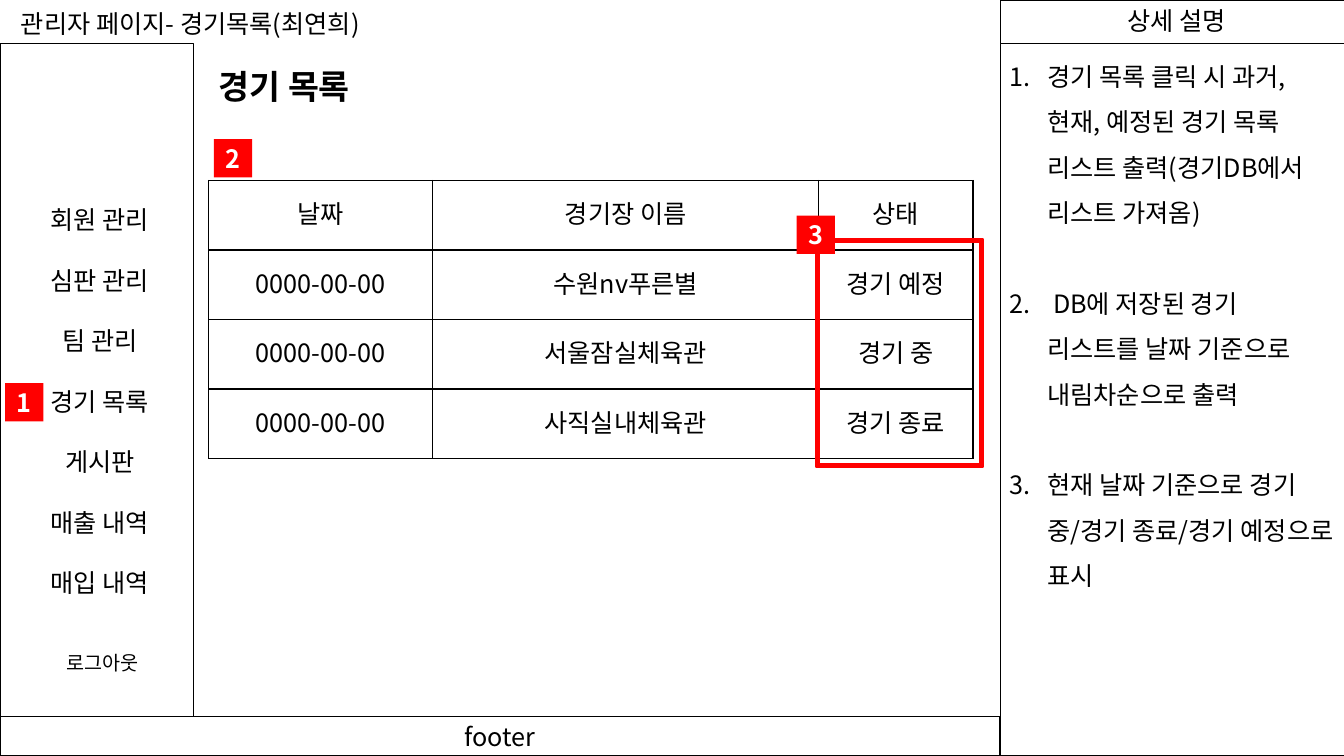
"""Build the admin page wireframe for the match list."""
from dataclasses import dataclass

from lxml import etree
from pptx import Presentation
from pptx.dml.color import RGBColor
from pptx.enum.shapes import MSO_SHAPE
from pptx.enum.text import MSO_ANCHOR, PP_ALIGN
from pptx.oxml.ns import qn
from pptx.util import Inches, Pt

RECTANGLE, FRAME = MSO_SHAPE.RECTANGLE, MSO_SHAPE.FRAME
LEFT, CENTER = PP_ALIGN.LEFT, PP_ALIGN.CENTER
TOP, MIDDLE = MSO_ANCHOR.TOP, MSO_ANCHOR.MIDDLE
FONT = "Noto Sans CJK KR"
COLORS = {"black": "000000", "white": "FFFFFF", "red": "FF0000"}
LINE_PITCH = 21.6
WIDE_PITCH = 1.5 * LINE_PITCH
BADGE_SIZE = 0.38
INDENT = 0.38


@dataclass(frozen=True)
class Box:
    left: float
    top: float
    width: float
    height: float

    def lengths(self) -> list:
        return [Inches(n) for n in (self.left, self.top, self.width, self.height)]


@dataclass(frozen=True)
class Label:
    box: Box
    text: str
    size: float = 18
    bold: bool = False


@dataclass(frozen=True)
class Badge:
    left: float
    top: float
    number: str


DETAIL_PANEL = Box(9.92, 0.43, 3.42, 7.07)
DETAIL_HEADER = Box(9.92, 0, 3.42, 0.43)
SIDEBAR = Box(0, 0.43, 1.92, 6.68)
FOOTER = Box(0, 7.11, 9.92, 0.39)
STATUS_FRAME = Box(8.09, 2.37, 1.66, 2.26)
MENU = Box(0.03, 1.98, 1.92, 4.34)
DETAILS = Box(9.91, 0.41, 3.43, 5.5)
MATCH_TABLE = Box(2.07, 1.79, 7.58, 2.76)

LABELS = [
    Label(Box(11.08, 0, 1.3, 0.4), "상세 설명"),
    Label(Box(0.11, 0.03, 4.3, 0.4), "관리자 페이지- 경기목록(최연희)"),
    Label(Box(0.56, 6.41, 1.31, 0.34), "로그아웃", size=14),
    Label(Box(2.07, 0.6, 2.94, 0.5), "경기 목록", size=24, bold=True),
]
BADGES = [Badge(0.05, 3.8, "1"), Badge(2.12, 1.38, "2"), Badge(7.9, 2.14, "3")]
MENU_ITEMS = ["회원 관리", "심판 관리", "팀 관리", "경기 목록", "게시판", "매출 내역", "매입 내역"]
DETAIL_ITEMS = [
    "경기 목록 클릭 시 과거, 현재, 예정된 경기 목록 리스트 출력(경기DB에서 리스트 가져옴)",
    " DB에 저장된 경기 리스트를 날짜 기준으로 내림차순으로 출력",
    "현재 날짜 기준으로 경기중/경기 종료/경기 예정으로 표시",
]
COLUMN_WIDTHS = [2.22, 3.83, 1.53]
MATCHES = [
    ["날짜", "경기장 이름", "상태"],
    ["0000-00-00", "수원nv푸른별", "경기 예정"],
    ["0000-00-00", "서울잠실체육관", "경기 중"],
    ["0000-00-00", "사직실내체육관", "경기 종료"],
]


def color(name: str) -> RGBColor:
    return RGBColor.from_string(COLORS[name])


def write(frame, *texts: str, size: float = 18, bold: bool = False,
          ink: str = "black", align=LEFT, anchor=TOP, pitch: float | None = None,
          gap: float = 0, numbered: bool = False) -> None:
    frame.word_wrap = True
    frame.vertical_anchor = anchor
    for index, text in enumerate(texts):
        paragraph = frame.add_paragraph() if index else frame.paragraphs[0]
        paragraph.alignment = align
        if pitch:
            paragraph.line_spacing = Pt(pitch)
        if index:
            paragraph.space_before = Pt(gap)
        if numbered:
            properties = paragraph._p.get_or_add_pPr()
            properties.set("marL", str(Inches(INDENT)))
            properties.set("indent", str(-Inches(INDENT)))
            etree.SubElement(properties, qn("a:buFont"), typeface="+mj-lt")
            etree.SubElement(properties, qn("a:buAutoNum"), type="arabicPeriod",
                             startAt=str(index + 1))
        run = paragraph.add_run()
        run.text = text
        run.font.name = FONT
        run.font.size = Pt(size)
        run.font.bold = bold
        run.font.color.rgb = color(ink)
        etree.SubElement(run._r.get_or_add_rPr(), qn("a:ea"), typeface=FONT)


def add_panel(slide, box: Box, fill: str = "white", line: str | None = "black",
              weight: float = 1, preset=RECTANGLE):
    shape = slide.shapes.add_shape(preset, *box.lengths())
    shape.shadow.inherit = False
    shape.fill.solid()
    shape.fill.fore_color.rgb = color(fill)
    if line:
        shape.line.color.rgb = color(line)
        shape.line.width = Pt(weight)
    else:
        shape.line.fill.background()
    return shape


def add_text(slide, box: Box, *texts: str, **style) -> None:
    write(slide.shapes.add_textbox(*box.lengths()).text_frame, *texts, **style)


def add_badge(slide, badge: Badge) -> None:
    box = Box(badge.left, badge.top, BADGE_SIZE, BADGE_SIZE)
    shape = add_panel(slide, box, fill="red", line=None)
    write(shape.text_frame, badge.number, bold=True, ink="white",
          align=CENTER, anchor=MIDDLE)


def add_borders(cell) -> None:
    properties = cell._tc.get_or_add_tcPr()
    for position, side in enumerate(("lnL", "lnR", "lnT", "lnB")):
        border = etree.Element(qn(f"a:{side}"), w=str(Pt(1)))
        fill = etree.SubElement(border, qn("a:solidFill"))
        etree.SubElement(fill, qn("a:srgbClr"), val=COLORS["black"])
        properties.insert(position, border)


def add_match_table(slide) -> None:
    table = slide.shapes.add_table(len(MATCHES), len(COLUMN_WIDTHS),
                                   *MATCH_TABLE.lengths()).table
    for column, width in zip(table.columns, COLUMN_WIDTHS):
        column.width = Inches(width)
    for row_index, match in enumerate(MATCHES):
        for column_index, text in enumerate(match):
            cell = table.cell(row_index, column_index)
            cell.fill.background()
            add_borders(cell)
            write(cell.text_frame, text, align=CENTER, pitch=WIDE_PITCH)


def main() -> None:
    presentation = Presentation()
    presentation.slide_width = Inches(13.33)
    presentation.slide_height = Inches(7.5)
    slide = presentation.slides.add_slide(presentation.slide_layouts[6])

    for panel in (DETAIL_PANEL, DETAIL_HEADER, SIDEBAR):
        add_panel(slide, panel)
    for label in LABELS:
        add_text(slide, label.box, label.text, size=label.size, bold=label.bold)
    add_match_table(slide)
    add_text(slide, DETAILS, *DETAIL_ITEMS, pitch=WIDE_PITCH, gap=WIDE_PITCH,
             numbered=True)
    status_frame = add_panel(slide, STATUS_FRAME, fill="red", line="red",
                             weight=1.5, preset=FRAME)
    status_frame.adjustments[0] = 0.018
    for badge in BADGES:
        add_badge(slide, badge)
    footer = add_panel(slide, FOOTER)
    write(footer.text_frame, "footer", align=CENTER, anchor=MIDDLE)
    add_text(slide, MENU, *MENU_ITEMS, align=CENTER, pitch=LINE_PITCH, gap=LINE_PITCH)
    presentation.save("out.pptx")


if __name__ == "__main__":
    main()
